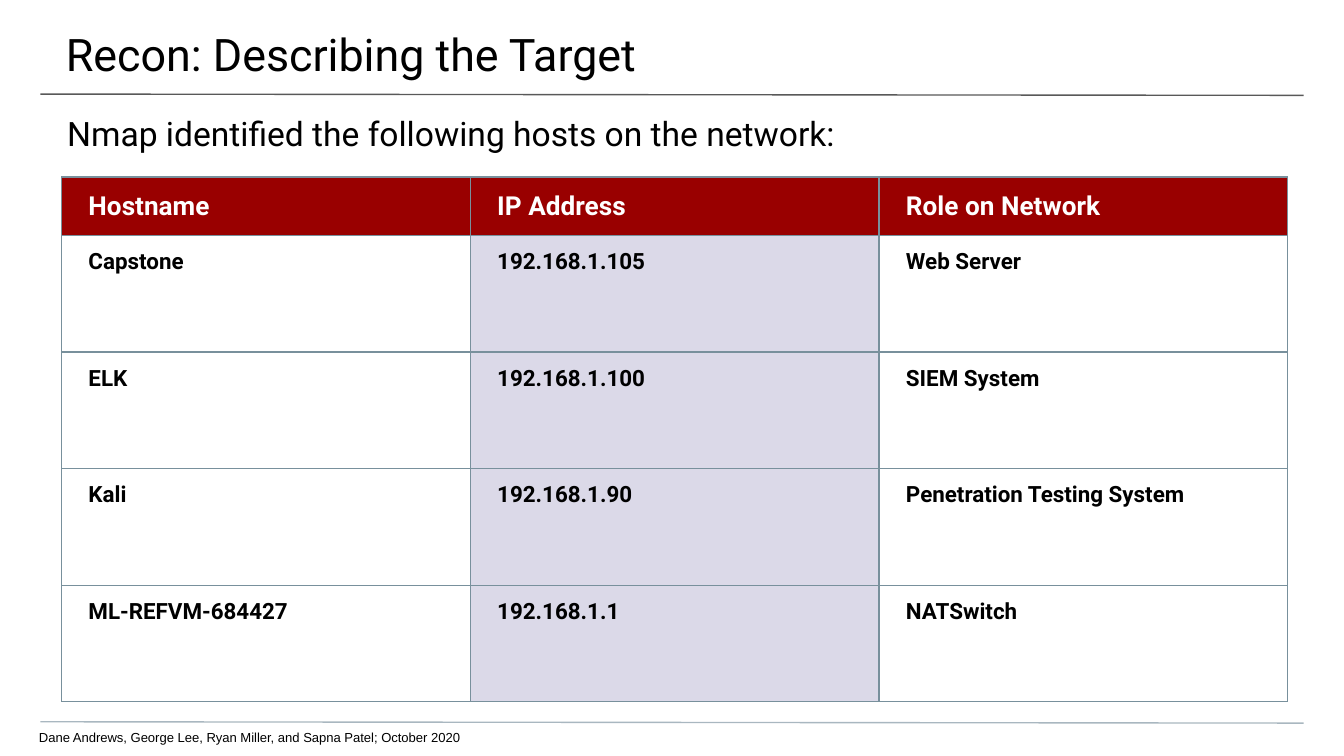
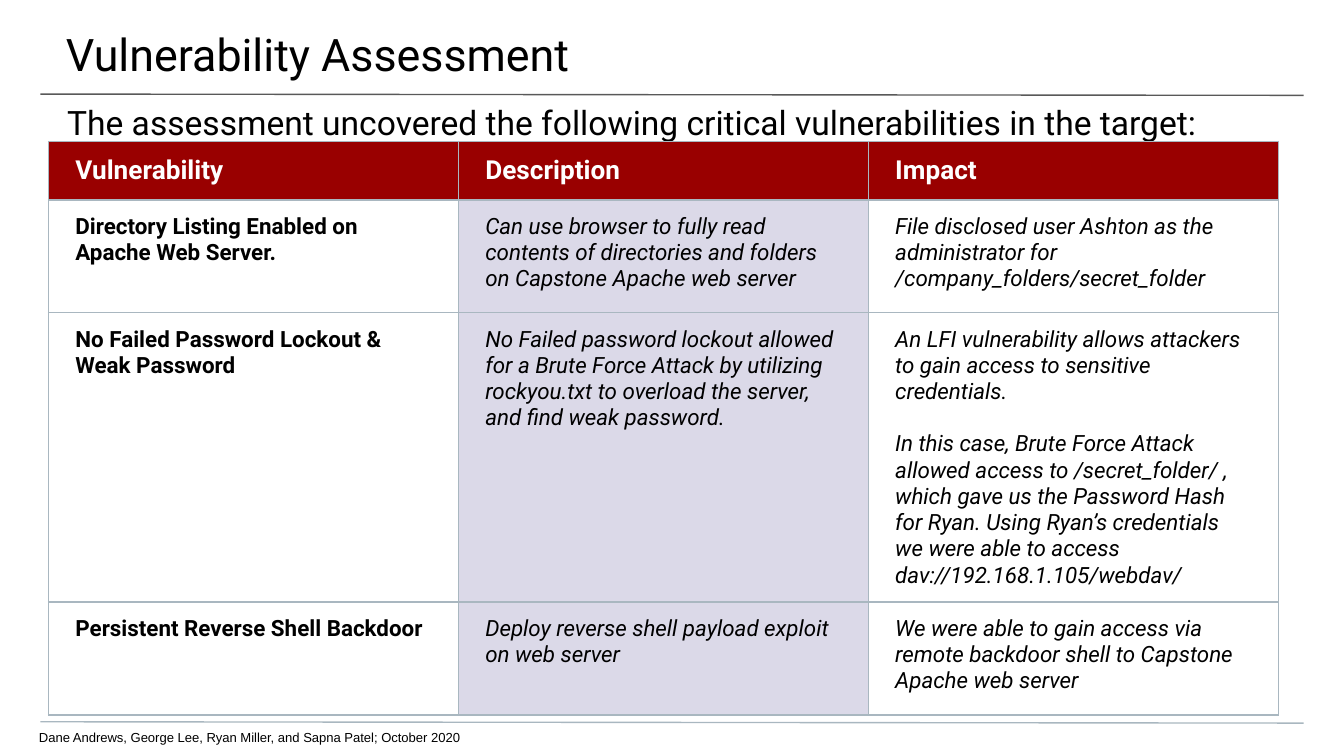
from dataclasses import dataclass

from lxml import etree
from pptx import Presentation
from pptx import util as u
from pptx.dml import color
from pptx.enum import shapes, text
from pptx.oxml import ns

Pt = u.Pt
BLACK, WHITE, RED, LILAC = "000000", "FFFFFF", "990000", "DBD9E8"
GREY, MIST, SLATE = "595959", "A9B7C0", "78909C"
CREDIT = "Dane Andrews, George Lee, Ryan Miller, and Sapna Patel; October 2020"
PAD = (14.4, 7.2, 14.4, 7.2)


@dataclass(frozen=True)
class Style:
    size: float
    tint: str = BLACK
    face: str = "Roboto"
    bold: bool = False
    slant: bool = False
    gap: float = 0


@dataclass(frozen=True)
class Rule:
    top: float
    tint: str


@dataclass(frozen=True)
class Grid:
    left: float
    top: float
    wide: float
    head: float
    row: float
    edge: str
    looks: tuple[Style, ...]
    rows: tuple[tuple[str, ...], ...]


@dataclass(frozen=True)
class Page:
    title: str
    lead: str
    drop: float
    grid: Grid


TITLE, LEAD = Style(24), Style(18)
NOTE = Style(7, face="Arial")
HEAD = Style(14, WHITE, bold=True)
BOLD = Style(12, bold=True)
PROSE = Style(12, slant=True, gap=14)
RULES = (Rule(50.4, GREY), Rule(386.7, MIST))

PAGES = (
    Page(
        "Recon: Describing the Target",
        "Nmap identified the following hosts on the network:",
        53.3,
        Grid(33, 94.8, 219, 31.3, 62.5, SLATE, (BOLD, BOLD, BOLD), (
            ("Hostname", "IP Address", "Role on Network"),
            ("Capstone", "192.168.1.105", "Web Server"),
            ("ELK", "192.168.1.100", "SIEM System"),
            ("Kali", "192.168.1.90", "Penetration Testing System"),
            ("ML-REFVM-684427", "192.168.1.1", "NATSwitch"),
        )),
    ),
    Page(
        "Vulnerability Assessment",
        "The assessment uncovered the following critical vulnerabilities in the target:",
        47.5,
        Grid(26, 75.8, 219.6, 31.3, 60.5, MIST, (BOLD, PROSE, PROSE), (
            ("Vulnerability", "Description", "Impact"),
            ("Directory Listing Enabled on Apache Web Server.",
             "Can use browser to fully read contents of directories and folders "
             "on Capstone Apache web server",
             "File disclosed user Ashton as the administrator for "
             "/company_folders/secret_folder"),
            ("No Failed Password Lockout &\vWeak Password",
             "No Failed password lockout allowed for a Brute Force Attack by utilizing "
             "rockyou.txt to overload the server, and find weak password.",
             "An LFI vulnerability allows attackers to gain access to sensitive "
             "credentials.\nIn this case, Brute Force Attack allowed access to "
             "/secret_folder/ , which gave us the Password Hash for Ryan. Using Ryan’s "
             "credentials we were able to access dav://192.168.1.105/webdav/"),
            ("Persistent Reverse Shell Backdoor",
             "Deploy reverse shell payload exploit\von web server",
             "We were able to gain access via remote backdoor shell to Capstone "
             "Apache web server"),
        )),
    ),
)


def rgb(tint: str) -> color.RGBColor:
    return color.RGBColor.from_string(tint)


def put(item, vals: dict) -> None:
    for key, val in vals.items():
        setattr(item, key, val)


def pads(pad: tuple) -> dict:
    sides = ("left", "top", "right", "bottom")
    return {f"margin_{side}": Pt(n) for side, n in zip(sides, pad)}


def write(frame, words: str, style: Style) -> None:
    frame.text = words
    for i, para in enumerate(frame.paragraphs):
        put(para, {"alignment": text.PP_ALIGN.LEFT,
                   "space_before": Pt(style.gap if i else 0)})
        for run in para.runs:
            put(run.font, {"name": style.face, "size": Pt(style.size),
                           "bold": style.bold, "italic": style.slant})
            run.font.color.rgb = rgb(style.tint)


def fit(shape, box: tuple, pad: tuple, words: str, style: Style) -> None:
    put(shape, dict(zip(("left", "top", "width", "height"), map(Pt, box))))
    put(shape.text_frame, {
        "word_wrap": True, "auto_size": text.MSO_AUTO_SIZE.NONE,
        "vertical_anchor": text.MSO_ANCHOR.TOP, **pads(pad)})
    write(shape.text_frame, words, style)


def label(slide, box: tuple, pad: tuple, words: str, style: Style) -> None:
    fit(slide.shapes.add_textbox(*map(Pt, box)), box, pad, words, style)


def rule(slide, item: Rule) -> None:
    ends = (21.6, item.top, 698.4, item.top + 0.7)
    line = slide.shapes.add_connector(shapes.MSO_CONNECTOR.STRAIGHT, *map(Pt, ends))
    line.line.width = Pt(0.75)
    line.line.color.rgb = rgb(item.tint)
    etree.SubElement(line._element.spPr, ns.qn("a:effectLst"))


def edge(cell, tint: str) -> None:
    props = cell._tc.get_or_add_tcPr()
    for side in "LRTB":
        line = etree.SubElement(props, ns.qn(f"a:ln{side}"), w=str(Pt(0.75)))
        fill = etree.SubElement(line, ns.qn("a:solidFill"))
        etree.SubElement(fill, ns.qn("a:srgbClr"), val=tint)


def paint(cell, tint: str | None) -> None:
    if tint is None:
        cell.fill.background()
    else:
        cell.fill.solid()
        cell.fill.fore_color.rgb = rgb(tint)


def table(slide, grid: Grid) -> None:
    count, cols = len(grid.rows), len(grid.looks)
    box = (grid.left, grid.top, grid.wide * cols, grid.head + grid.row * (count - 1))
    tab = slide.shapes.add_table(count, cols, *map(Pt, box)).table
    tab.horz_banding = False
    for col in tab.columns:
        col.width = Pt(grid.wide)
    for r, row in enumerate(grid.rows):
        tab.rows[r].height = Pt(grid.row if r else grid.head)
        for c, words in enumerate(row):
            cell = tab.cell(r, c)
            anchor = text.MSO_ANCHOR.TOP if r else text.MSO_ANCHOR.MIDDLE
            put(cell, {"vertical_anchor": anchor, **pads(PAD)})
            edge(cell, grid.edge)
            paint(cell, RED if r == 0 else LILAC if c == 1 else None)
            write(cell.text_frame, words, grid.looks[c] if r else HEAD)


def draw(deck, page: Page) -> None:
    slide = deck.slides.add_slide(deck.slide_layouts[5])
    for item in RULES:
        rule(slide, item)
    fit(slide.shapes.title, (-0.7, 0, 722, 42), (36, 14.4, 21.6, 7.2), page.title, TITLE)
    label(slide, (0, page.drop, 720, 29), (36, 7.2, 36, 0), page.lead, LEAD)
    label(slide, (-0.7, 387.4, 628, 17.6), (21.6, 3.6, 0, 0), CREDIT, NOTE)
    table(slide, page.grid)


def main() -> None:
    deck = Presentation()
    put(deck, {"slide_width": Pt(720), "slide_height": Pt(405)})
    for page in PAGES:
        draw(deck, page)
    deck.save("out.pptx")


if __name__ == "__main__":
    main()
